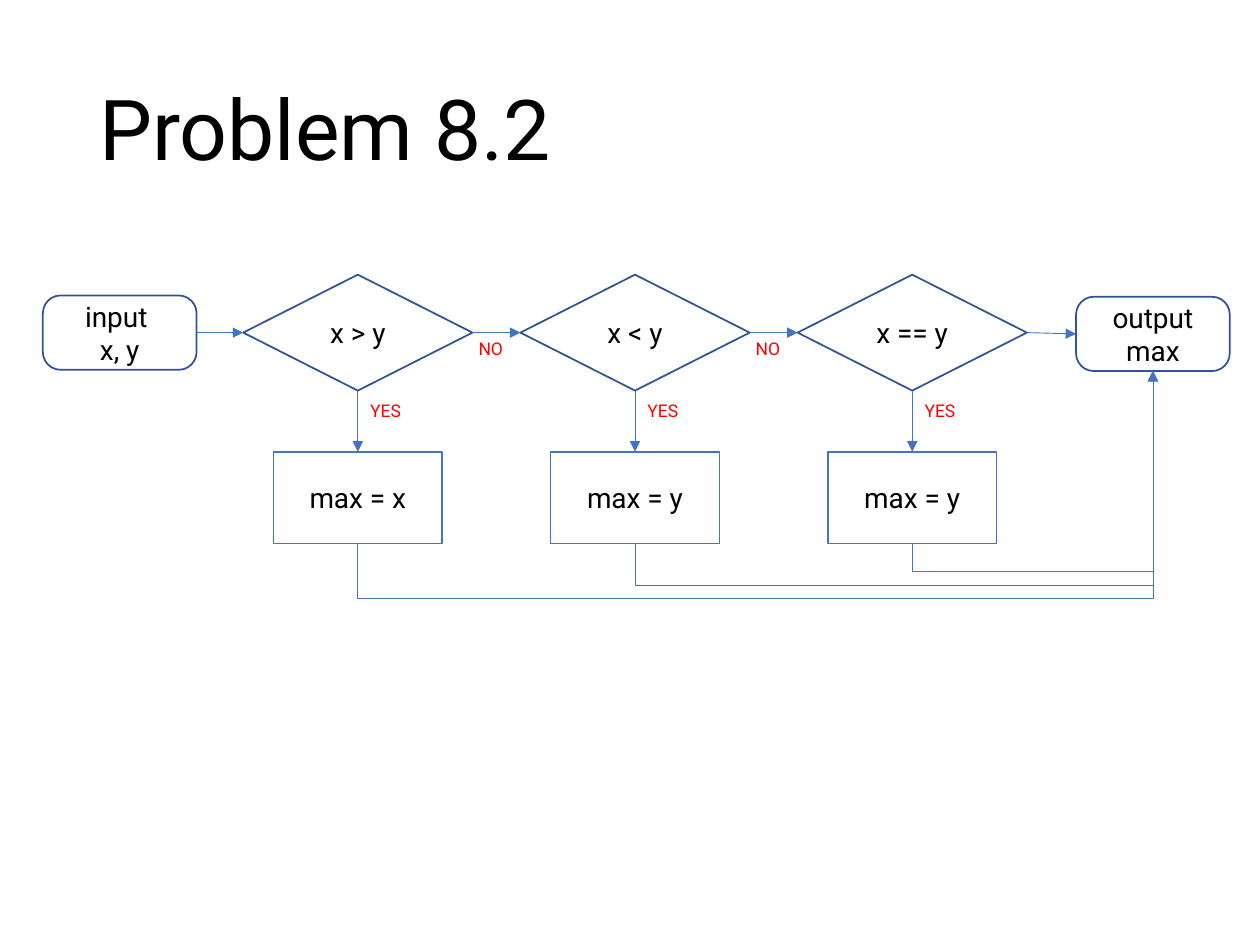
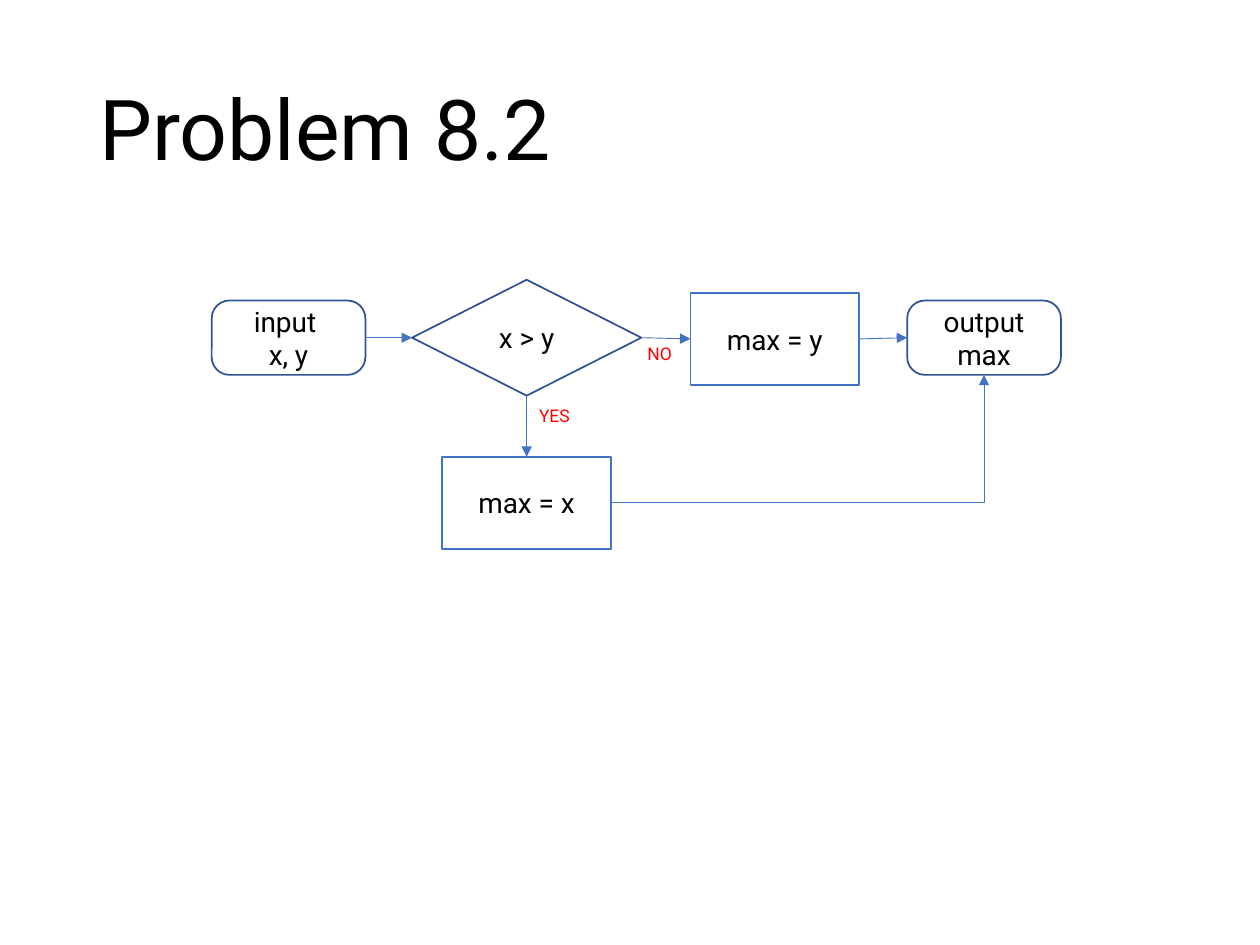
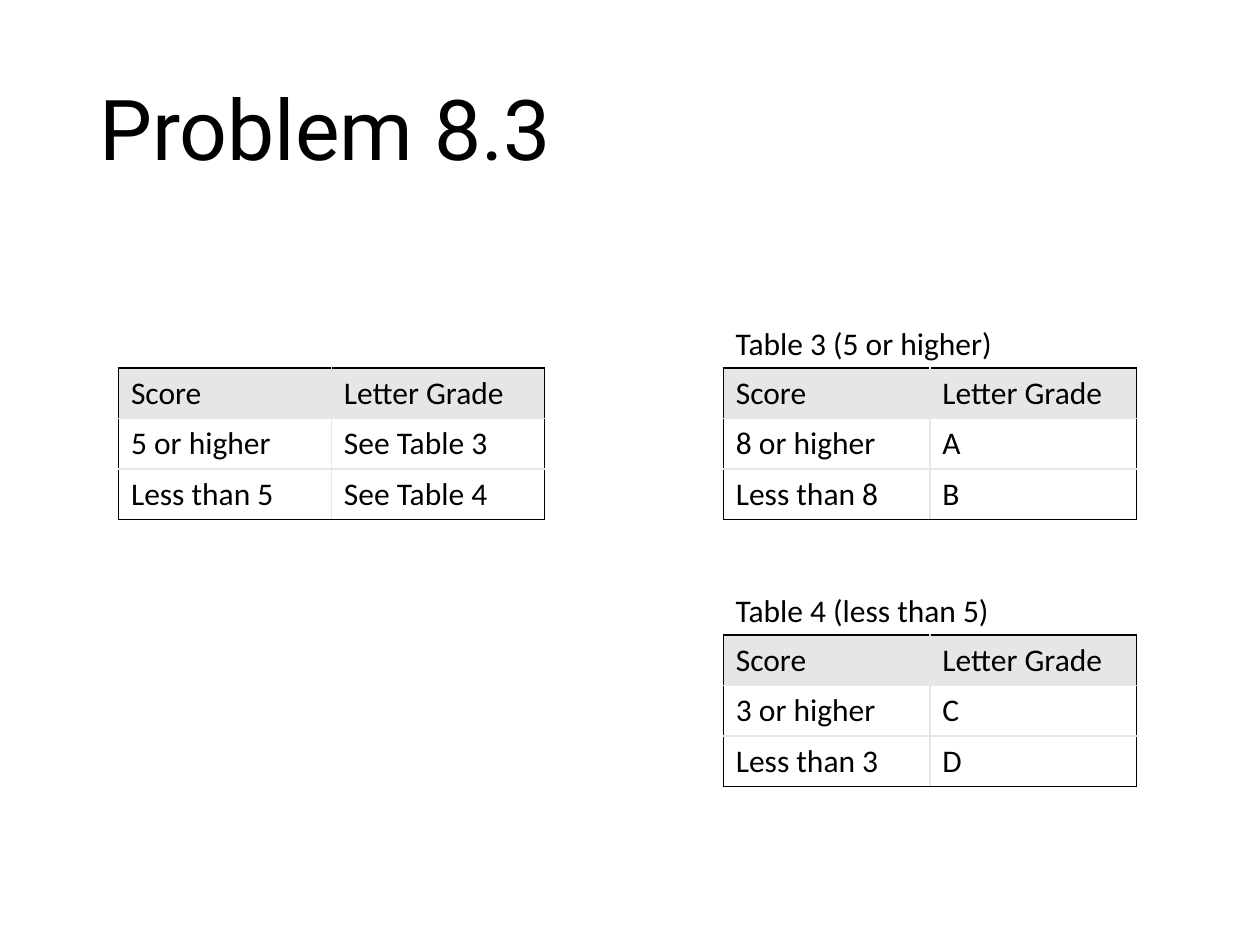
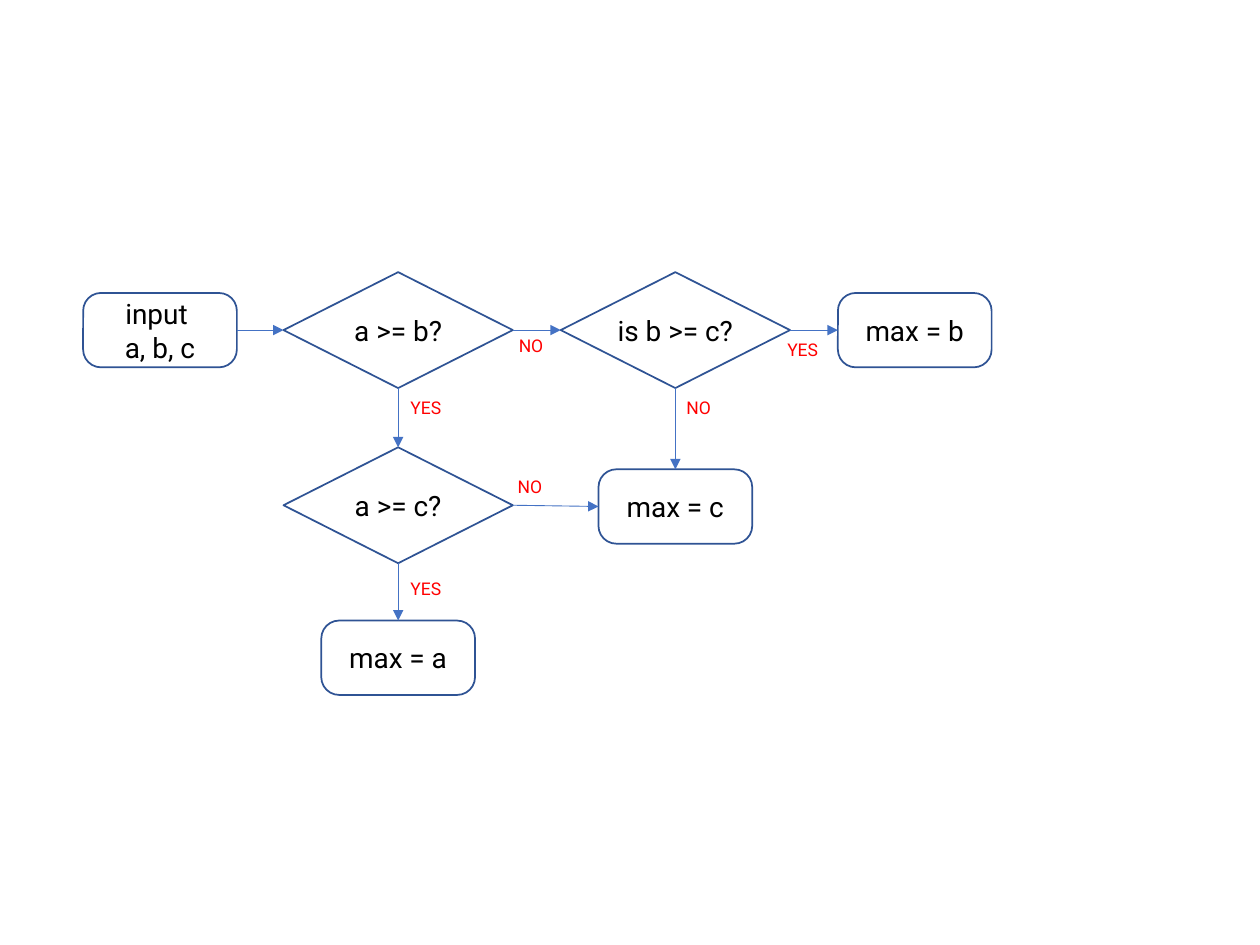
import pptx
import pptx.dml.color
import pptx.enum.shapes
import pptx.enum.text
import pptx.oxml
import pptx.oxml.ns
import pptx.util

SHAPES = pptx.enum.shapes.MSO_SHAPE
CONNECTORS = pptx.enum.shapes.MSO_CONNECTOR
ANCHORS = pptx.enum.text.MSO_ANCHOR
ALIGN = pptx.enum.text.PP_ALIGN
NAMESPACE = pptx.oxml.ns.nsdecls("a")

COLUMNS, ROWS = 10, 7.5
BLACK, WHITE, RED, GREY = "000000", "FFFFFF", "FF0000", "E7E6E6"
BLUE, DARK_BLUE = "4472C4", "2F5394"
FLOW_FONT, TABLE_FONT = "Roboto", "Calibri"
TIGHT_MARGIN = 0.03
TOP, LEFT, BOTTOM, RIGHT = range(4)
NUDGES = {BOTTOM: (0.05, 0.04), RIGHT: (0.01, 0.01)}
LABEL_WIDTHS = {"YES": 0.34, "NO": 0.27}
ROW_HEIGHT = 0.4


def grid(cells):
    """Turn columns or rows of the one-inch slide grid into a length."""
    return pptx.util.Inches(cells)


def colour(value):
    """Turn a hex string into a colour."""
    return pptx.dml.color.RGBColor.from_string(value)


def add_xml(parent, markup):
    """Append one drawing element to a parent element."""
    parent.append(pptx.oxml.parse_xml(markup))


def style_text(frame, size, font=FLOW_FONT, ink=BLACK, align=ALIGN.LEFT):
    """Give every paragraph of a text frame the same look."""
    for para in frame.paragraphs:
        para.alignment = align
        para.font.size = pptx.util.Pt(size)
        para.font.name = font
        para.font.color.rgb = colour(ink)


def tighten(frame):
    """Use narrow margins on all sides of a text frame."""
    margin = grid(TIGHT_MARGIN)
    frame.margin_left = frame.margin_right = margin
    frame.margin_top = frame.margin_bottom = margin


def add_text(page, text, left, top, width, height, wrap=False):
    """Add a text box and return its text frame."""
    box = page.shapes.add_textbox(grid(left), grid(top), grid(width), grid(height))
    frame = box.text_frame
    frame.word_wrap = wrap
    frame.text = text
    return frame


def add_page(deck, title=None):
    """Add a blank slide, with a title where one is given."""
    page = deck.slides.add_slide(deck.slide_layouts[6])
    if title:
        frame = add_text(page, title, 0.69, 0.4, 8.62, 1.07, wrap=True)
        frame.vertical_anchor = ANCHORS.BOTTOM
        style_text(frame, 48)
        frame.paragraphs[0].line_spacing = 0.9
    return page


def add_node(page, kind, text, x, y, width, height, edge):
    """Add one outlined flowchart shape around its centre."""
    node = page.shapes.add_shape(
        kind, grid(x - width / 2), grid(y - height / 2), grid(width), grid(height))
    node.shadow.inherit = False
    node.line.color.rgb = colour(edge)
    node.line.width = pptx.util.Pt(1)
    frame = node.text_frame
    frame.text = text
    frame.vertical_anchor = ANCHORS.MIDDLE
    style_text(frame, 16, align=ALIGN.CENTER)
    return node


def add_terminal(page, text, x, y):
    """Add a rounded start or end box."""
    node = add_node(page, SHAPES.ROUNDED_RECTANGLE, text, x, y, 1.22, 0.59, DARK_BLUE)
    node.adjustments[0] = 0.24
    node.fill.solid()
    node.fill.fore_color.rgb = colour(WHITE)
    tighten(node.text_frame)
    return node


def add_decision(page, text, x, y):
    """Add a decision diamond."""
    node = add_node(page, SHAPES.DIAMOND, text, x, y, 1.82, 0.92, DARK_BLUE)
    node.fill.solid()
    node.fill.fore_color.rgb = colour(WHITE)
    tighten(node.text_frame)
    node.text_frame.word_wrap = False
    return node


def add_process(page, text, x, y):
    """Add an unfilled process box."""
    node = add_node(page, SHAPES.RECTANGLE, text, x, y, 1.34, 0.73, BLUE)
    node.fill.background()
    return node


def style_arrow(arrow):
    """Give a connector a thin blue line, an arrowhead and no shadow."""
    arrow.line.color.rgb = colour(BLUE)
    arrow.line.width = pptx.util.Pt(0.5)
    add_xml(arrow.line._get_or_add_ln(), f'<a:tailEnd {NAMESPACE} type="triangle"/>')
    add_xml(arrow._element.spPr, f"<a:effectLst {NAMESPACE}/>")


def link(page, start, side, end, end_side, answer=None, nudge=None):
    """Join two nodes by an arrow, with an answer near its start."""
    arrow = page.shapes.add_connector(CONNECTORS.STRAIGHT, 0, 0, 0, 0)
    arrow.begin_connect(start, side)
    arrow.end_connect(end, end_side)
    style_arrow(arrow)
    if answer:
        across, down = nudge or NUDGES[side]
        frame = add_text(page, answer, arrow.begin_x.inches + across,
                         arrow.begin_y.inches + down, LABEL_WIDTHS[answer], 0.23)
        frame.vertical_anchor = ANCHORS.MIDDLE
        tighten(frame)
        style_text(frame, 10, ink=RED, align=ALIGN.CENTER)


def link_below(page, start, end, lane):
    """Run an arrow from a bottom side, along a lane, up to another bottom side."""
    x, y = start.left + start.width // 2, start.top + start.height
    end_x, end_y = end.left + end.width // 2, end.top + end.height
    rise, run = y - end_y, end_x - x
    arrow = page.shapes.add_connector(CONNECTORS.ELBOW, 0, 0, 0, 0)
    arrow.left, arrow.top = (x + end_x - rise) // 2, (y + end_y - run) // 2
    arrow.width, arrow.height = rise, run
    properties = arrow._element.spPr
    for name, value in (("rot", "5400000"), ("flipH", "1"), ("flipV", "1")):
        properties.xfrm.set(name, value)
    bend = round((y - grid(lane)) / rise * 100000)
    guides = properties.find(".//" + pptx.oxml.ns.qn("a:avLst"))
    add_xml(guides, f'<a:gd {NAMESPACE} name="adj1" fmla="val {bend}"/>')
    style_arrow(arrow)


def link_corner(page, start, end):
    """Run an arrow from a right side around one corner up to a bottom side."""
    arrow = page.shapes.add_connector(
        CONNECTORS.ELBOW, start.left + start.width, start.top + start.height // 2,
        end.left + end.width // 2, end.top + end.height)
    geometry = arrow._element.spPr.find(pptx.oxml.ns.qn("a:prstGeom"))
    geometry.set("prst", "bentConnector2")
    style_arrow(arrow)


def add_borders(cell, edges):
    """Draw the left, right, top and bottom borders of a cell."""
    for side, ink in zip("LRTB", edges):
        add_xml(cell._tc.get_or_add_tcPr(),
                f'<a:ln{side} {NAMESPACE} w="12700"><a:solidFill>'
                f'<a:srgbClr val="{ink}"/></a:solidFill></a:ln{side}>')


def add_grades(page, left, top, column_width, body, caption=None):
    """Add a grade table with a grey header and a black frame."""
    rows = [("Score", "Letter Grade"), *body]
    last_row, last_column = len(rows) - 1, len(rows[0]) - 1
    table = page.shapes.add_table(
        len(rows), len(rows[0]), grid(left), grid(top),
        grid(column_width * len(rows[0])), grid(ROW_HEIGHT * len(rows))).table
    table.first_row = table.horz_banding = False
    for r, row in enumerate(rows):
        for c, text in enumerate(row):
            cell = table.cell(r, c)
            cell.text = text
            style_text(cell.text_frame, 18, TABLE_FONT)
            outer = (c == 0, c == last_column, r == 0, r == last_row)
            add_borders(cell, [BLACK if edge else GREY for edge in outer])
            if r == 0:
                cell.fill.solid()
                cell.fill.fore_color.rgb = colour(GREY)
            else:
                cell.fill.background()
    if caption:
        frame = add_text(page, caption, left, top - 0.4, 2.25, 0.4)
        style_text(frame, 18, TABLE_FONT)


def build_three_tests(deck):
    """Build the chart that tests every order of x and y."""
    page = add_page(deck, "Problem 8.2")
    first, step, y = 2.84, 2.2, 2.64
    tests = (("x > y", "max = x", 4.75), ("x < y", "max = y", 4.65),
             ("x == y", "max = y", 4.54))
    previous = add_terminal(page, "input \nx, y", 0.95, y)
    output = add_terminal(page, "output max", 9.15, y + 0.01)
    for index, (test, result, lane) in enumerate(tests):
        x = first + step * index
        decision = add_decision(page, test, x, y)
        process = add_process(page, result, x, 3.95)
        link(page, previous, RIGHT, decision, LEFT, "NO" if index else None)
        link(page, decision, BOTTOM, process, TOP, "YES")
        link_below(page, process, output, lane)
        previous = decision
    link(page, previous, RIGHT, output, LEFT)


def build_one_test(deck):
    """Build the chart that needs a single test of x and y."""
    page = add_page(deck, "Problem 8.2")
    y = 2.68
    start = add_terminal(page, "input \nx, y", 2.29, y)
    decision = add_decision(page, "x > y", 4.18, y)
    second = add_process(page, "max = y", 6.15, y + 0.01)
    output = add_terminal(page, "output max", 7.81, y)
    first = add_process(page, "max = x", 4.18, 3.99)
    link(page, start, RIGHT, decision, LEFT)
    link(page, decision, RIGHT, second, LEFT, "NO")
    link(page, decision, BOTTOM, first, TOP, "YES")
    link(page, second, RIGHT, output, LEFT)
    link_corner(page, first, output)


def build_grade_tables(deck):
    """Build the three linked grade tables."""
    page = add_page(deck, "Problem 8.3")
    add_grades(page, 0.94, 2.92, 1.69,
               [("5 or higher", "See Table 3"), ("Less than 5", "See Table 4")])
    add_grades(page, 5.74, 2.92, 1.64,
               [("8 or higher", "A"), ("Less than 8", "B")], "Table 3 (5 or higher)")
    add_grades(page, 5.74, 5.04, 1.64,
               [("3 or higher", "C"), ("Less than 3", "D")], "Table 4 (less than 5)")


def build_largest_of_three(deck):
    """Build the chart that finds the largest of a, b and c."""
    page = add_page(deck)
    left, right, top, middle = 3.16, 5.36, 2.62, 4.01
    start = add_terminal(page, "input \na, b, c", 1.27, top)
    a_or_b = add_decision(page, "a >= b?", left, top)
    b_or_c = add_decision(page, "is b >= c?", right, top)
    a_or_c = add_decision(page, "a >= c?", left, middle)
    max_a = add_terminal(page, "max = a", left, 5.22)
    max_b = add_terminal(page, "max = b", 7.26, top)
    max_c = add_terminal(page, "max = c", right, middle + 0.01)
    link(page, start, RIGHT, a_or_b, LEFT)
    link(page, a_or_b, RIGHT, b_or_c, LEFT, "NO")
    link(page, a_or_b, BOTTOM, a_or_c, TOP, "YES")
    link(page, b_or_c, RIGHT, max_b, LEFT, "YES", nudge=(-0.07, 0.04))
    link(page, b_or_c, BOTTOM, max_c, TOP, "NO")
    link(page, a_or_c, RIGHT, max_c, LEFT, "NO", nudge=(0, -0.26))
    link(page, a_or_c, BOTTOM, max_a, TOP, "YES", nudge=(0.05, 0.09))


def main():
    """Build and save the deck."""
    deck = pptx.Presentation()
    deck.slide_width, deck.slide_height = grid(COLUMNS), grid(ROWS)
    build_three_tests(deck)
    build_one_test(deck)
    build_grade_tables(deck)
    build_largest_of_three(deck)
    deck.save("out.pptx")


if __name__ == "__main__":
    main()
